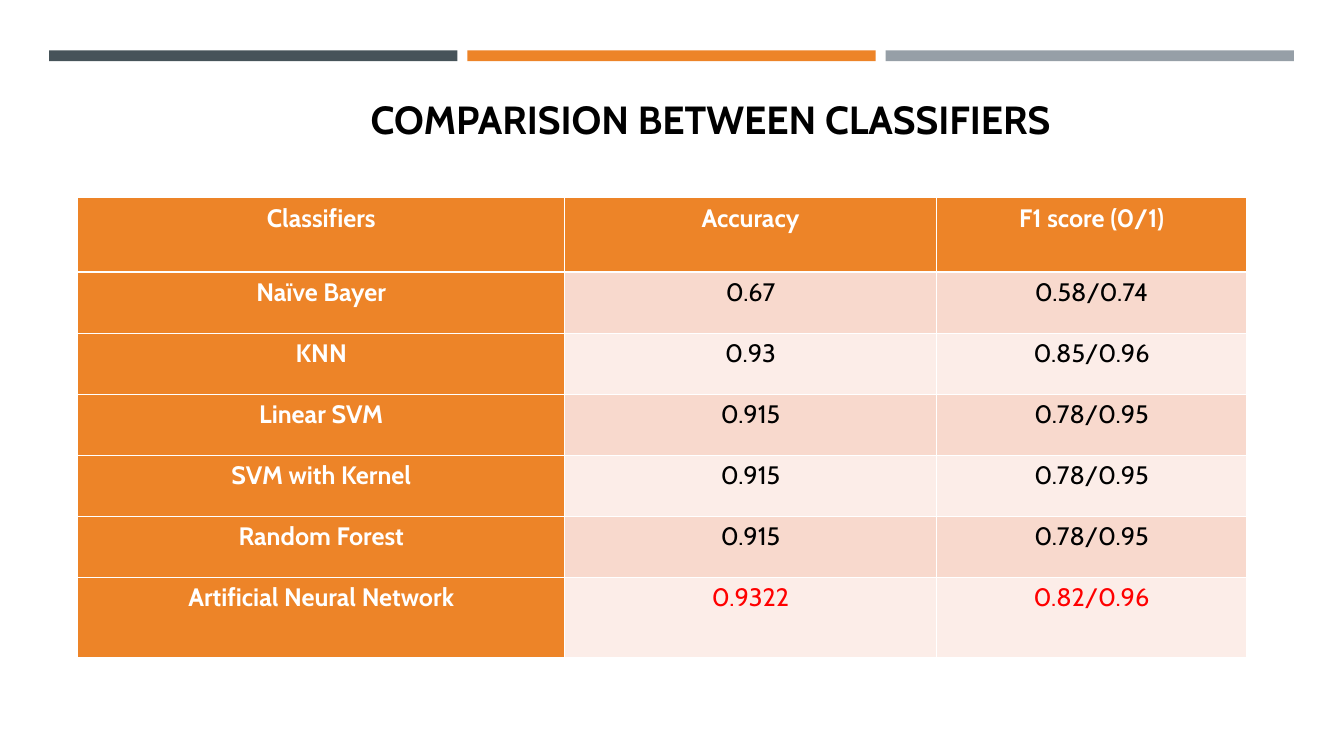
"""Build a slide with a table comparing classifiers by accuracy and F1 score."""
from lxml import etree
from pptx import Presentation
from pptx.dml.color import RGBColor
from pptx.enum import shapes, text
from pptx.oxml import ns
from pptx.util import Cm, Pt

COLORS = {
    "slate": "465359", "orange": "ED8428", "gray": "969FA7", "white": "FFFFFF",
    "black": "000000", "red": "FF0000", "band_dark": "F8D9CD", "band_light": "FCEDE8",
}
FONT = "Cabin"


def style_text(p, size, color, bold):
    p.alignment = text.PP_ALIGN.CENTER
    p.font.name = FONT
    p.font.size = Pt(size)
    p.font.bold = bold
    p.font.color.rgb = RGBColor.from_string(COLORS[color])


def add_border(cell, side, width):
    ln = etree.SubElement(cell._tc.get_or_add_tcPr(), ns.qn(f"a:ln{side}"), w=str(Pt(width)))
    fill = etree.SubElement(ln, ns.qn("a:solidFill"))
    etree.SubElement(fill, ns.qn("a:srgbClr"), val=COLORS["white"])


prs = Presentation()
prs.slide_width, prs.slide_height = Cm(33.87), Cm(19.05)
s = prs.slides.add_slide(prs.slide_layouts[5])

for i, color in enumerate(["slate", "orange", "gray"]):
    bar = s.shapes.add_shape(shapes.MSO_SHAPE.RECTANGLE,
                             Cm(1.24 + i * 10.54), Cm(1.27), Cm(10.29), Cm(0.27))
    bar.shadow.inherit = False
    bar.fill.solid()
    bar.fill.fore_color.rgb = RGBColor.from_string(COLORS[color])
    bar.line.fill.background()

title = s.shapes.title
title.left, title.top, title.width, title.height = Cm(4.8), Cm(2.26), Cm(26.21), Cm(1.45)
tf = title.text_frame
tf.text = "COMPARISION BETWEEN CLASSIFIERS"
tf.word_wrap = True
tf.auto_size = text.MSO_AUTO_SIZE.NONE
tf.vertical_anchor = text.MSO_ANCHOR.MIDDLE
style_text(tf.paragraphs[0], 28, "black", True)

rows = [
    ("Classifiers", "Accuracy", "F1 score (0/1)"),
    ("Naïve Bayer", "0.67", "0.58/0.74"),
    ("KNN", "0.93", "0.85/0.96"),
    ("Linear SVM", "0.915", "0.78/0.95"),
    ("SVM with Kernel", "0.915", "0.78/0.95"),
    ("Random Forest", "0.915", "0.78/0.95"),
    ("Artificial Neural Network", "0.9322", "0.82/0.96"),
]
col_widths = [12.27, 9.37, 7.82]
row_heights = [1.87] + [1.54] * 5 + [2.03]
last = len(rows) - 1
table = s.shapes.add_table(len(rows), len(col_widths), Cm(1.96), Cm(4.98),
                           Cm(sum(col_widths)), Cm(sum(row_heights))).table
for column, width in zip(table.columns, col_widths):
    column.width = Cm(width)
for row, height in zip(table.rows, row_heights):
    row.height = Cm(height)

for r, values in enumerate(rows):
    for c, value in enumerate(values):
        cell = table.cell(r, c)
        cell.text = value
        heading = r == 0 or c == 0
        if heading:
            fill, color = "orange", "white"
        else:
            fill = "band_dark" if r % 2 else "band_light"
            color = "red" if r == last else "black"
        style_text(cell.text_frame.paragraphs[0], 18, color, heading)
        borders = {"L": 0.75, "R": 0.75, "T": 2 if r == 1 else 0.75, "B": 2 if r == 0 else 0.75}
        for side, width in borders.items():
            add_border(cell, side, width)
        cell.fill.solid()
        cell.fill.fore_color.rgb = RGBColor.from_string(COLORS[fill])

prs.save("out.pptx")
